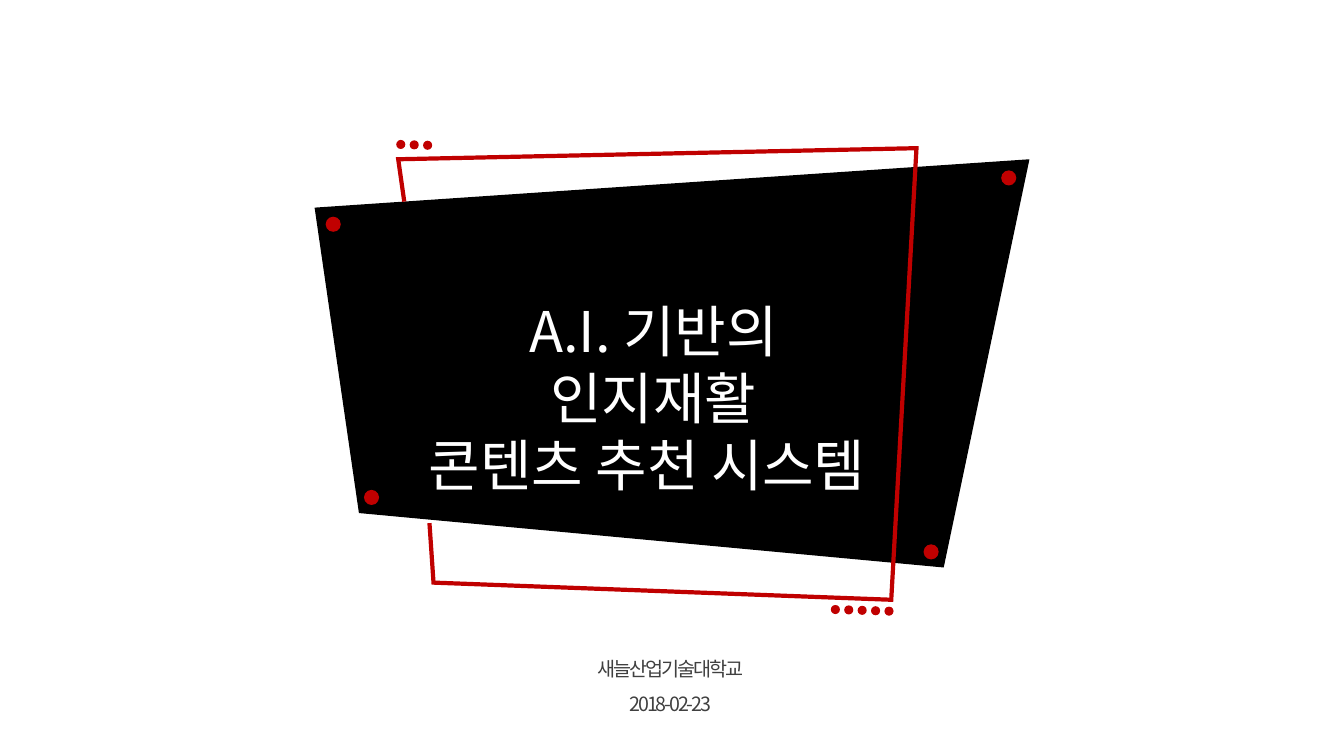
from lxml.etree import SubElement
from pptx import Presentation
from pptx.dml.color import RGBColor
from pptx.enum.shapes import MSO_SHAPE
from pptx.enum.text import MSO_ANCHOR, PP_ALIGN
from pptx.oxml.ns import qn
from pptx.util import Inches, Pt

TITLE = ["A.I. 기반의 인지재활", "콘텐츠 추천 시스템 "]
FOOTER = ["새늘산업기술대학교", "2018-02-23"]

THEME = dict(font="Noto Sans CJK KR", panel="000000", accent="C00000",
             title="FFFFFF", footer="404040", title_size=40,
             footer_size=14, frame_width=3)

COLS, ROWS = 1333, 750
PANEL = [(312, 206), (356, 509), (936, 563), (1021, 158)]
FRAME = [(401, 200), (395, 158), (909, 147), (884, 595), (430, 578), (426, 519)]
PINS = [(323, 215), (361, 486), (916, 540), (993, 169)]
PIN_SIZE, DOT_SIZE = 15, 9
DOT_STEP, DOT_DROP = 13.3, 0.4
DOT_ROWS = [(393, 138.8, 3), (824, 600.2, 5)]

prs = Presentation()
prs.slide_width, prs.slide_height = Inches(13.33), Inches(7.5)
s = prs.slides.add_slide(prs.slide_layouts[6])


def x_at(col):
    return round(prs.slide_width * col / COLS)


def y_at(row):
    return round(prs.slide_height * row / ROWS)


def color(name):
    return RGBColor.from_string(THEME[name])


def add_outline(points, close):
    start, *rest = [(x_at(c), y_at(r)) for c, r in points]
    builder = s.shapes.build_freeform(*start)
    builder.add_line_segments(rest, close=close)
    sp = builder.convert_to_shape()
    sp.shadow.inherit = False
    return sp


def add_dot(col, row, size):
    sp = s.shapes.add_shape(MSO_SHAPE.OVAL, x_at(col), y_at(row),
                            x_at(size), y_at(size))
    sp.shadow.inherit = False
    sp.fill.solid()
    sp.fill.fore_color.rgb = color("accent")
    sp.line.fill.background()


def add_text(lines, col, row, width, height, *, role, spacing=None, tracking=None):
    tf = s.shapes.add_textbox(x_at(col), y_at(row), x_at(width), y_at(height)).text_frame
    tf.word_wrap = True
    tf.vertical_anchor = MSO_ANCHOR.TOP
    for i, text in enumerate(lines):
        p = tf.add_paragraph() if i else tf.paragraphs[0]
        p.alignment = PP_ALIGN.CENTER
        p.line_spacing = spacing
        r = p.add_run()
        r.text = text
        r.font.name = THEME["font"]
        r.font.size = Pt(THEME[role + "_size"])
        r.font.color.rgb = color(role)
        props = r.font._element
        SubElement(props, qn("a:ea")).set("typeface", THEME["font"])
        if tracking:
            props.set("spc", str(round(tracking * 100)))


panel = add_outline(PANEL, close=True)
panel.fill.solid()
panel.fill.fore_color.rgb = color("panel")
panel.line.fill.background()

frame = add_outline(FRAME, close=False)
frame.fill.background()
frame.line.color.rgb = color("accent")
frame.line.width = Pt(THEME["frame_width"])
SubElement(frame.line._ln, qn("a:miter")).set("lim", "800000")

for col, row in PINS:
    add_dot(col, row, PIN_SIZE)
for col, row, count in DOT_ROWS:
    for i in range(count):
        add_dot(col + i * DOT_STEP, row + i * DOT_DROP, DOT_SIZE)

add_text(TITLE, 407, 289, 482, 145, role="title")
add_text(FOOTER, 475, 635, 380, 77, role="footer", spacing=1.5, tracking=-1.5)

prs.save("out.pptx")
